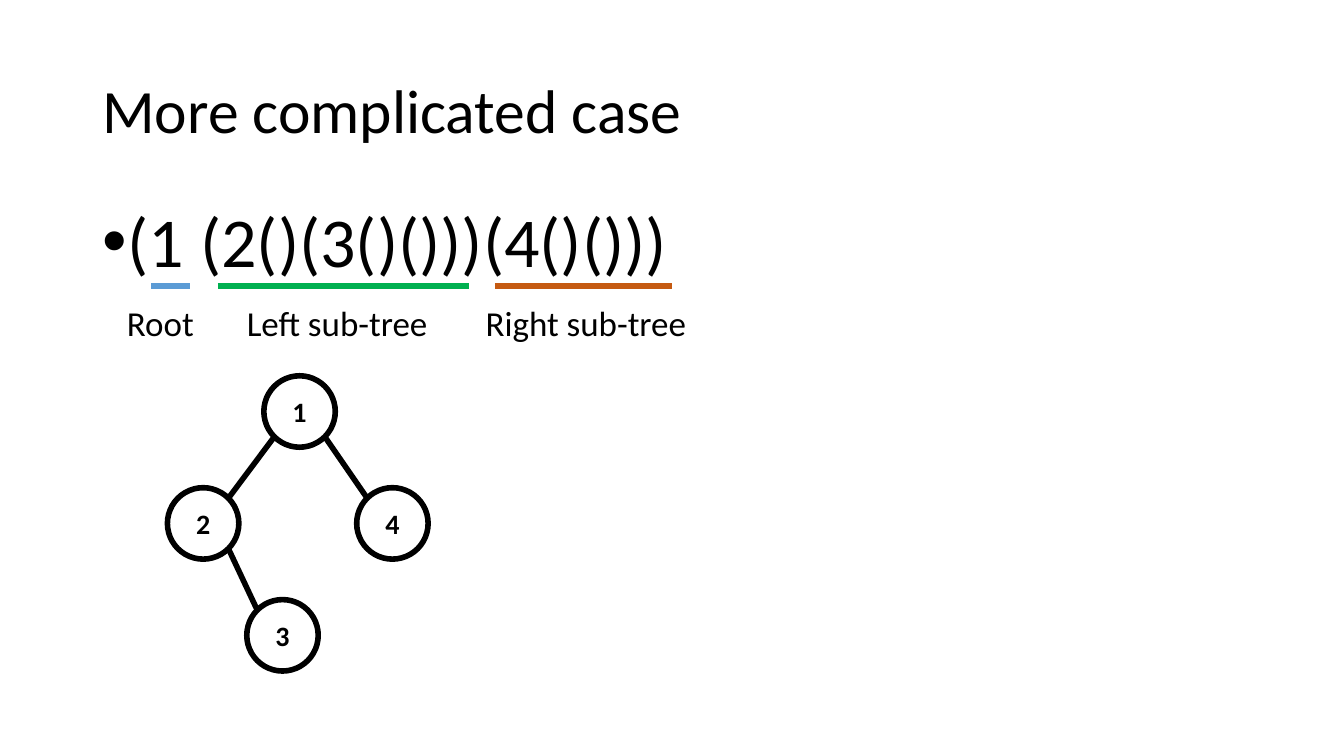
from math import sqrt

from lxml import etree
from pptx import Presentation
from pptx.dml.color import RGBColor
from pptx.enum.shapes import MSO_CONNECTOR as Conn, MSO_SHAPE as Shape
from pptx.enum.text import MSO_ANCHOR as Anchor, PP_ALIGN as Align
from pptx.oxml.ns import qn
from pptx.util import Cm, Pt

BLACK = RGBColor(0x00, 0x00, 0x00)
BLUE = RGBColor(0x5B, 0x9B, 0xD5)
GREEN = RGBColor(0x00, 0xB0, 0x50)
ORANGE = RGBColor(0xC5, 0x5A, 0x11)
FONT = "Calibri"
STROKE = Pt(4)

# label, label left, label width, line left, line right, colour
PARTS = [
    ("Root", 0.62, 2.9, 1.48, 2.47, BLUE),
    ("Left sub-tree", 3.64, 5.79, 3.16, 9.48, GREEN),
    ("Right sub-tree", 9.66, 5.79, 10.14, 14.61, ORANGE),
]
# label: left offset, level
NODES = {"1": (2.43, 0), "2": (0, 1), "3": (2, 2), "4": (4.77, 1)}
EDGES = [("1", "2"), ("2", "3"), ("1", "4")]
SIZE = 1.8
STEP = 2.82


def write(frame, text, size, bold=None):
    """Set one black line of text and return its paragraph."""
    frame.word_wrap = True
    frame.text = text
    para = frame.paragraphs[0]
    font = para.runs[0].font
    font.name, font.size, font.bold = FONT, Pt(size), bold
    font.color.rgb = BLACK
    return para


def add_text(slide, box, text, size):
    frame = slide.shapes.add_textbox(*map(Cm, box)).text_frame
    return frame, write(frame, text, size)


def add_line(slide, start, end, color):
    line = slide.shapes.add_connector(Conn.STRAIGHT, *map(Cm, (*start, *end)))
    line.line.color.rgb = color
    line.line.width = STROKE
    etree.SubElement(line._element.spPr, qn("a:effectLst"))


def add_title(slide, box):
    frame, para = add_text(slide, box, "More complicated case", 44)
    frame.vertical_anchor = Anchor.MIDDLE
    para.line_spacing = 0.9


def add_code(slide, box):
    """Place the bulleted bracket form of the tree."""
    _, para = add_text(slide, box, "(1 (2()(3()()))(4()()))", 50)
    para.line_spacing = 0.9
    para.space_before = Pt(10)
    props = para._p.get_or_add_pPr()
    props.set("marL", str(Cm(0.64)))
    props.set("indent", str(-Cm(0.64)))
    etree.SubElement(props, qn("a:buFont")).set("typeface", "Arial")
    etree.SubElement(props, qn("a:buChar")).set("char", "•")


def add_parts(slide, left, top):
    """Underline and name each part of the bracket form."""
    for text, shift, width, start, end, color in PARTS:
        add_line(slide, (left + start, top), (left + end, top), color)
        add_text(slide, (left + shift, top + 0.26, width, 1.32), text, 25)


def add_node(slide, x, y, text):
    node = slide.shapes.add_shape(Shape.OVAL, *map(Cm, (x, y, SIZE, SIZE)))
    node.shadow.inherit = False
    node.fill.background()
    node.line.color.rgb = BLACK
    node.line.width = STROKE
    node.text_frame.vertical_anchor = Anchor.MIDDLE
    write(node.text_frame, text, 20, True).alignment = Align.CENTER


def add_tree(slide, left, top):
    """Draw the nodes, and edges that meet them on their diagonals."""
    spots = {key: (left + x, top + level * STEP)
             for key, (x, level) in NODES.items()}
    for key, (x, y) in spots.items():
        add_node(slide, x, y, key)
    half = SIZE / 2
    reach = half / sqrt(2)
    for parent, child in EDGES:
        (px, py), (cx, cy) = spots[parent], spots[child]
        side = reach if cx > px else -reach
        add_line(slide, (px + half + side, py + half + reach),
                 (cx + half - side, cy + half - reach), BLACK)


def main():
    deck = Presentation()
    deck.slide_width, deck.slide_height = Cm(33.87), Cm(19.05)
    slide = deck.slides.add_slide(deck.slide_layouts[6])
    add_title(slide, (2.33, 1.02, 29.21, 3.68))
    add_code(slide, (2.33, 5.08, 29.21, 12.09))
    add_parts(slide, 2.33, 7.21)
    add_tree(slide, 4.22, 9.47)
    deck.save("out.pptx")


if __name__ == "__main__":
    main()
